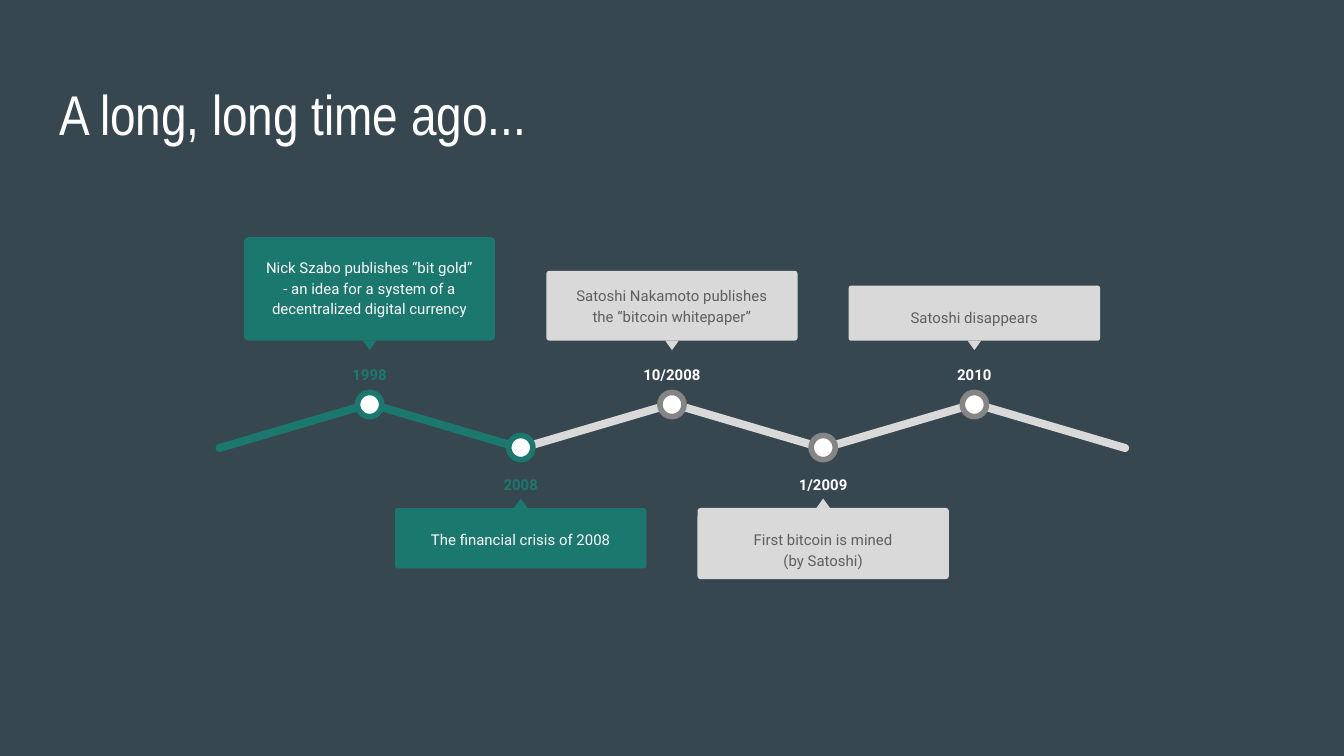
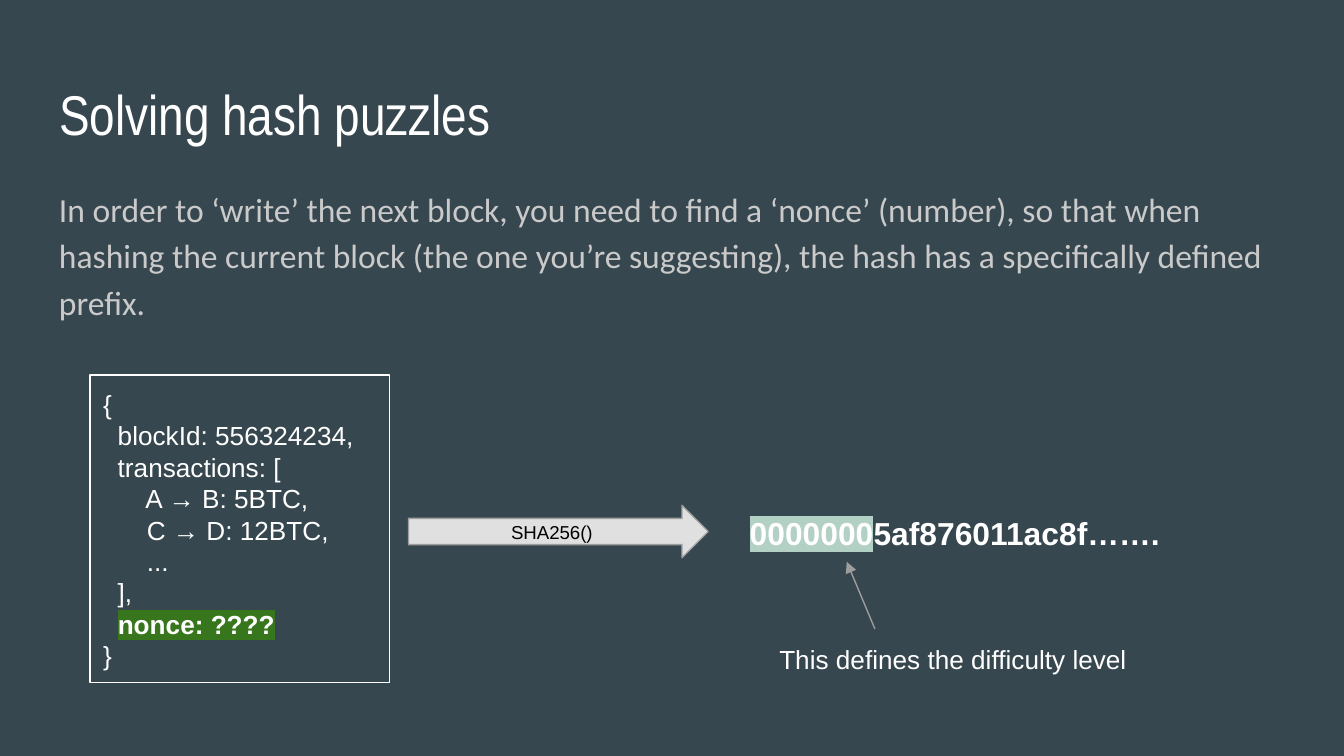
from lxml.etree import SubElement
from pptx import Presentation
from pptx.dml.color import RGBColor
from pptx.enum.shapes import MSO_CONNECTOR as Connector, MSO_SHAPE as Shape
from pptx.enum.text import MSO_ANCHOR as Anchor, MSO_AUTO_SIZE as AutoSize, PP_ALIGN as Align
from pptx.oxml import parse_xml
from pptx.oxml.ns import nsdecls, qn
from pptx.util import Inches, Pt

# Grid: 100 columns by 56.25 rows of 0.1 inch
COLUMNS, ROWS = 100, 56.25
CELL = Inches(0.1)

BACKGROUND = "37474F"
WHITE = "FFFFFF"
TEAL = "1B786E"
LIGHT = "D9D9D9"
RING_GREY = "858585"
CARD_GREY = "5E5E5E"
LINE_GREY = "9E9E9E"

# Timeline geometry, in columns and rows
STEP = 11.25
FIRST_NODE = 27.5
PEAK, VALLEY = 30.1, 33.3
CARD_WIDTH, CARD_MARGIN = 18.7, 0.45
UPPER_CARD_BOTTOM, LOWER_CARD_TOP = 25.35, 37.8
POINTER_WIDTH, POINTER_HEIGHT = 1, 0.7

# date, text, card height, text offset, reached
EVENTS = [
    ("1998", "Nick Szabo publishes “bit gold” - an idea for a system of a "
             "decentralized digital currency", 7.7, 0.4, True),
    ("2008", "The financial crisis of 2008", 4.5, 0.5, True),
    ("10/2008", "Satoshi Nakamoto publishes the “bitcoin whitepaper”", 5.2, 0, False),
    ("1/2009", "First bitcoin is mined\v(by Satoshi)", 5.3, 0.5, False),
    ("2010", "Satoshi disappears", 4.1, 0.5, False),
]

BLOCK_LINES = [
    "{",
    "  blockId: 556324234,",
    "  transactions: [",
    "      A → B: 5BTC,",
    "      C → D: 12BTC,",
    "      ...",
    "  ],",
    "  ",
    "}",
]
NONCE_LINE = 7


def rgb(color):
    return RGBColor.from_string(color)


def cells(*lengths):
    return [int(length * CELL) for length in lengths]


def format_font(font, size, color, name="Arial", bold=False):
    font.size, font.name, font.bold = Pt(size), name, bold
    font.color.rgb = rgb(color)


def highlight(run, color):
    mark = parse_xml(f'<a:highlight {nsdecls("a")}><a:srgbClr val="{color}"/></a:highlight>')
    run.font.fill._xPr.find(qn("a:solidFill")).addnext(mark)


def prepare_frame(shape, anchor=Anchor.TOP):
    frame = shape.text_frame
    frame.word_wrap = True
    frame.auto_size = AutoSize.NONE
    frame.vertical_anchor = anchor
    frame.margin_left = frame.margin_right = CELL
    frame.margin_top = frame.margin_bottom = CELL
    return frame


def write(frame, text, size, color, name="Arial", bold=False, align=Align.LEFT, spacing=1):
    frame.text = text
    for paragraph in frame.paragraphs:
        paragraph.alignment = align
        paragraph.line_spacing = spacing
        for run in paragraph.runs:
            format_font(run.font, size, color, name, bold)
    return frame


def add_text(slide, box, text, size, color, **style):
    shape = slide.shapes.add_textbox(*cells(*box))
    return write(prepare_frame(shape), text, size, color, **style)


def add_shape(slide, kind, box, fill=None, line=None, line_width=0.75, rotation=0):
    shape = slide.shapes.add_shape(kind, *cells(*box))
    shape.shadow.inherit = False
    shape.rotation = rotation
    if fill:
        shape.fill.solid()
        shape.fill.fore_color.rgb = rgb(fill)
    else:
        shape.fill.background()
    if line:
        shape.line.color.rgb = rgb(line)
        shape.line.width = Pt(line_width)
    else:
        shape.line.fill.background()
    return shape


def add_rounded(slide, box, fill, roundness, rotation=0):
    shape = add_shape(slide, Shape.ROUNDED_RECTANGLE, box, fill, rotation=rotation)
    shape.adjustments[0] = roundness


def add_arrow(slide, start, end):
    connector = slide.shapes.add_connector(Connector.STRAIGHT, *cells(*start, *end))
    connector.line.color.rgb = rgb(LINE_GREY)
    connector.line.width = Pt(0.75)
    properties = connector._element.spPr
    SubElement(properties.find(qn("a:ln")), qn("a:tailEnd"), type="triangle")
    SubElement(properties, qn("a:effectLst"))


def add_titled_slide(presentation, title):
    slide = presentation.slides.add_slide(presentation.slide_layouts.get_by_name("Title Only"))
    shape = slide.shapes.title
    shape.left, shape.top, shape.width, shape.height = cells(3.4, 4.9, 93.2, 6.3)
    write(prepare_frame(shape), title, 30, WHITE, name="Arial Narrow")
    return slide


def add_segments(slide):
    """Zigzag of bars, rising and falling in turn, one more than there are events."""
    for index in reversed(range(len(EVENTS) + 1)):
        box = (15.8 + index * STEP, 31.4, 12.2, 0.6)
        tilt = 16.4 if index % 2 else -16.4
        add_rounded(slide, box, TEAL if index < 2 else LIGHT, 0.5, tilt)


def add_event(slide, index, date, text, height, text_offset, reached):
    center = FIRST_NODE + index * STEP
    above = index % 2 == 0
    fill = TEAL if reached else LIGHT
    node_y = PEAK if above else VALLEY
    card_top = UPPER_CARD_BOTTOM - height if above else LOWER_CARD_TOP
    pointer_top = UPPER_CARD_BOTTOM if above else LOWER_CARD_TOP - POINTER_HEIGHT
    card_left = center - CARD_WIDTH / 2

    add_shape(slide, Shape.OVAL, (center - 0.9, node_y - 0.9, 1.8, 1.8), WHITE,
              TEAL if reached else RING_GREY, 3)
    add_rounded(slide, (card_left, card_top, CARD_WIDTH, height), fill, 0.045)
    add_shape(slide, Shape.ISOSCELES_TRIANGLE,
              (center - POINTER_WIDTH / 2, pointer_top, POINTER_WIDTH, POINTER_HEIGHT),
              fill, rotation=180 if above else 0)

    style = dict(name="Roboto", align=Align.CENTER, spacing=1.15)
    add_text(slide, (center - 3.8, 26 if above else 34.2, 7.6, 3), date, 8,
             TEAL if reached else WHITE, bold=True, **style)
    add_text(slide, (card_left + CARD_MARGIN, card_top + text_offset,
                     CARD_WIDTH - 2 * CARD_MARGIN, height - 2 * CARD_MARGIN),
             text, 8, WHITE if reached else CARD_GREY, **style)


def add_block(slide):
    box = add_shape(slide, Shape.RECTANGLE, (6.7, 27.9, 22.3, 22.9), line=WHITE)
    frame = write(prepare_frame(box), "\n".join(BLOCK_LINES), 14, WHITE)
    nonce = frame.paragraphs[NONCE_LINE].add_run()
    nonce.text = "nonce: ????"
    format_font(nonce.font, 14, WHITE, bold=True)
    highlight(nonce, "38761D")


def add_hash(slide):
    frame = add_text(slide, (54.8, 37.2, 38.2, 4.6), "0000000", 17, WHITE, bold=True)
    paragraph = frame.paragraphs[0]
    highlight(paragraph.runs[0], "B3D0C5")
    rest = paragraph.add_run()
    rest.text = "5af876011ac8f……."
    format_font(rest.font, 17, WHITE, bold=True)


def build_timeline(presentation):
    slide = add_titled_slide(presentation, "A long, long time ago...")
    add_segments(slide)
    for index, event in enumerate(EVENTS):
        add_event(slide, index, *event)


def build_hash_puzzle(presentation):
    slide = add_titled_slide(presentation, "Solving hash puzzles")
    add_text(slide, (3.4, 12.6, 93.2, 12.1),
             "In order to ‘write’ the next block, you need to find a ‘nonce’ (number), "
             "so that when hashing the current block (the one you’re suggesting), "
             "the hash has a specifically defined prefix.",
             18, "CACACA", name="Calibri", spacing=1.15)
    add_block(slide)
    hashing = add_shape(slide, Shape.RIGHT_ARROW, (30.4, 37.6, 22.3, 3.9), "E0E0E0", LINE_GREY)
    write(prepare_frame(hashing, Anchor.MIDDLE), "SHA256()", 10, "000000", align=Align.CENTER)
    add_hash(slide)
    add_text(slide, (57, 46.9, 36, 3.3), "This defines the difficulty level", 14, WHITE)
    add_arrow(slide, (65.1, 46.8), (63, 41.8))


def main():
    presentation = Presentation()
    presentation.slide_width, presentation.slide_height = cells(COLUMNS, ROWS)
    background = presentation.slide_master.background.fill
    background.solid()
    background.fore_color.rgb = rgb(BACKGROUND)
    build_timeline(presentation)
    build_hash_puzzle(presentation)
    presentation.save("out.pptx")


if __name__ == "__main__":
    main()
